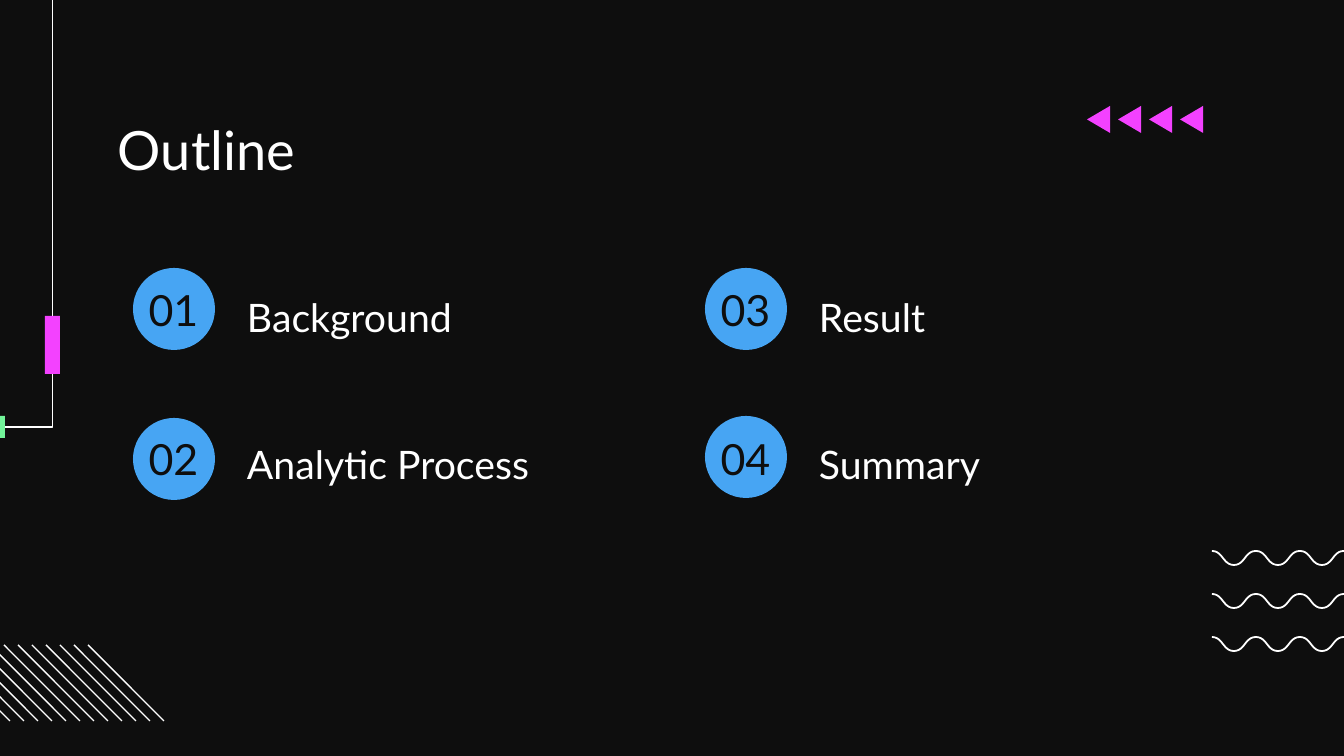
"""Build the outline slide with its numbered topics and line ornaments."""
from typing import NamedTuple

from lxml.etree import SubElement
from pptx import Presentation
from pptx.dml.color import RGBColor
from pptx.enum.shapes import MSO_CONNECTOR as Connector, MSO_SHAPE as Preset
from pptx.enum.text import MSO_ANCHOR as Anchor, MSO_AUTO_SIZE as AutoSize, PP_ALIGN as Align
from pptx.oxml.ns import qn
from pptx.util import Pt

PX = 914400 / 134.4
FONT = "Lato"
BLACK, WHITE, BLUE, PINK, GREEN = "0E0E0E", "FFFFFF", "47A5F3", "F341FF", "72F49A"


class Box(NamedTuple):
    left: int
    top: int
    width: int
    height: int


class Topic(NamedTuple):
    number: str
    label: str
    shift: int
    circle_top: int
    number_top: int
    label_top: int


TOPICS = [
    Topic("01", "Background", 0, 268, 257, 286),
    Topic("02", "Analytic Process", 0, 418, 406, 433),
    Topic("03", "Result", 572, 268, 257, 286),
    Topic("04", "Summary", 572, 416, 406, 433),
]


def px(length: float) -> int:
    """Turn pixels into EMU."""
    return round(length * PX)


def emu(box: Box) -> list[int]:
    """Turn a pixel box into EMU."""
    return [px(length) for length in box]


def paint(color_format, color: str) -> None:
    """Set a solid fill, line fill or font colour."""
    color_format.solid()
    color_format.fore_color.rgb = RGBColor.from_string(color)


def add_block(shapes, preset: Preset, box: Box, color: str) -> None:
    """Draw a filled shape without an outline."""
    block = shapes.add_shape(preset, *emu(box))
    block.shadow.inherit = False
    paint(block.fill, color)
    block.line.fill.background()


def add_outline(shapes, points: list[tuple[float, float]], closed: bool = False):
    """Draw a freeform through pixel points."""
    corners = [(px(x), px(y)) for x, y in points]
    builder = shapes.build_freeform(*corners[0], scale=1.0)
    builder.add_line_segments(corners[1:], close=closed)
    outline = builder.convert_to_shape()
    outline.shadow.inherit = False
    return outline


def add_stroke(shapes, points: list[tuple[float, float]], weight: float) -> None:
    """Draw an open white line."""
    stroke = add_outline(shapes, points)
    stroke.fill.background()
    paint(stroke.line.fill, WHITE)
    stroke.line.width = Pt(weight)


def add_arrow(shapes, left: int, top: int) -> None:
    """Draw a pink triangle pointing left."""
    arrow = add_outline(shapes, [(left + 23, top), (left, top + 13.5), (left + 23, top + 27)], True)
    paint(arrow.fill, PINK)
    arrow.line.fill.background()


def add_hatch(shapes, left: int, top: int, size: int) -> None:
    """Draw one diagonal hatch line."""
    hatch = shapes.add_connector(Connector.STRAIGHT, px(left), px(top), px(left + size), px(top + size))
    paint(hatch.line.fill, WHITE)
    hatch.line.width = Pt(0.75)
    SubElement(hatch.element.spPr, qn("a:effectLst"))


def wave_points(left: int, top: int) -> list[tuple[float, float]]:
    """Sample seven half waves, each 22 px wide and 14 px high."""
    points = [(float(left), float(top))]
    for half in range(7):
        for step in range(1, 13):
            t = step / 12
            across = 1.5 * t * (1 - t) + t ** 3
            drop = 3 * t ** 2 - 2 * t ** 3
            points.append((left + 22 * (half + across), top + 14 * (1 - drop if half % 2 else drop)))
    return points


def write(holder, box: Box, text: str, size: int, color: str,
          align: Align = Align.LEFT, inset_top: int = 0):
    """Place a text holder, fill it and return its paragraph."""
    holder.left, holder.top, holder.width, holder.height = emu(box)
    frame = holder.text_frame
    frame.word_wrap = True
    frame.auto_size = AutoSize.NONE
    frame.vertical_anchor = Anchor.TOP
    frame.margin_left = frame.margin_right = frame.margin_bottom = px(13)
    frame.margin_top = px(inset_top)
    frame.text = text
    paragraph = frame.paragraphs[0]
    paragraph.alignment = align
    paragraph.space_before = Pt(0)
    font = paragraph.font
    font.name, font.size, font.bold = FONT, Pt(size), False
    paint(font.fill, color)
    return paragraph


def add_topic(shapes, label_holder, topic: Topic) -> None:
    """Draw a numbered circle and its label."""
    add_block(shapes, Preset.OVAL, Box(133 + topic.shift, topic.circle_top, 82, 82), BLUE)
    number_box = Box(113 + topic.shift, topic.number_top, 121, 82)
    write(shapes.add_textbox(*emu(number_box)), number_box, topic.number, 23, BLACK, Align.CENTER, 27)
    label_box = Box(234 + topic.shift, topic.label_top, 425, 52)
    label = write(label_holder, label_box, topic.label, 21, WHITE)
    label.line_spacing = 1.15
    label.space_after = Pt(12)
    properties = label._p.get_or_add_pPr()
    properties.set("marL", "0")
    properties.set("indent", "0")
    bullet_none = properties.makeelement(qn("a:buNone"), {})
    properties.find(qn("a:spcAft")).addnext(bullet_none)


def main() -> None:
    """Build and save the slide."""
    deck = Presentation()
    deck.slide_width, deck.slide_height = px(1344), px(756)
    slide = deck.slides.add_slide(deck.slide_layouts.get_by_name("Comparison"))
    paint(slide.background.fill, BLACK)
    shapes = slide.shapes

    for row in range(3):
        add_stroke(shapes, wave_points(1212, 551 + 43 * row), 0.95)
    for column in range(12):
        add_hatch(shapes, -66 + 14 * column, 645, 76)
    add_stroke(shapes, [(-528, 427), (52.5, 427), (52.5, -30)], 0.75)
    add_block(shapes, Preset.RECTANGLE, Box(-16, 416, 21, 22), GREEN)
    add_block(shapes, Preset.RECTANGLE, Box(45, 316, 15, 58), PINK)

    write(shapes.title, Box(105, 116, 1134, 62), "Outline", 29, WHITE)
    label_holders = [holder for holder in slide.placeholders if holder.placeholder_format.idx]
    for label_holder, topic in zip(label_holders, TOPICS):
        add_topic(shapes, label_holder, topic)
    for column in range(4):
        add_arrow(shapes, 1087 + 31 * column, 106)

    deck.save("out.pptx")


if __name__ == "__main__":
    main()
